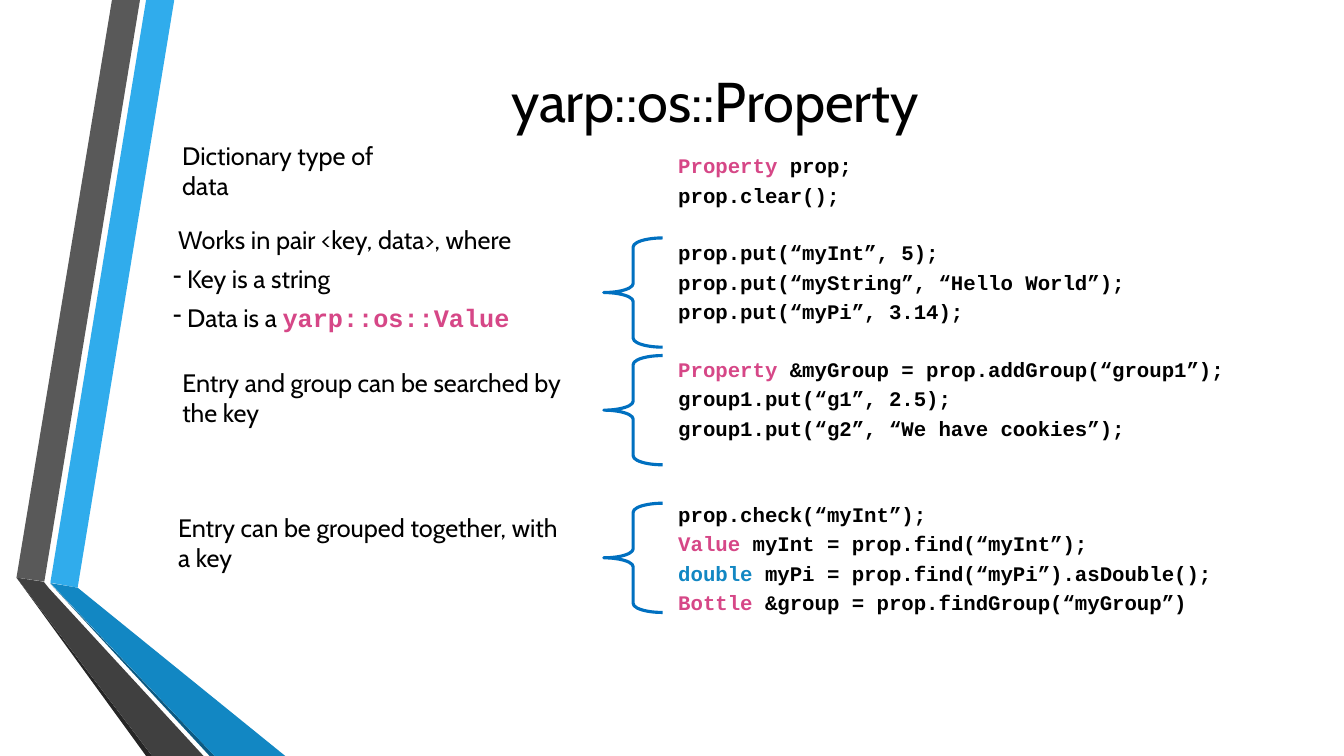
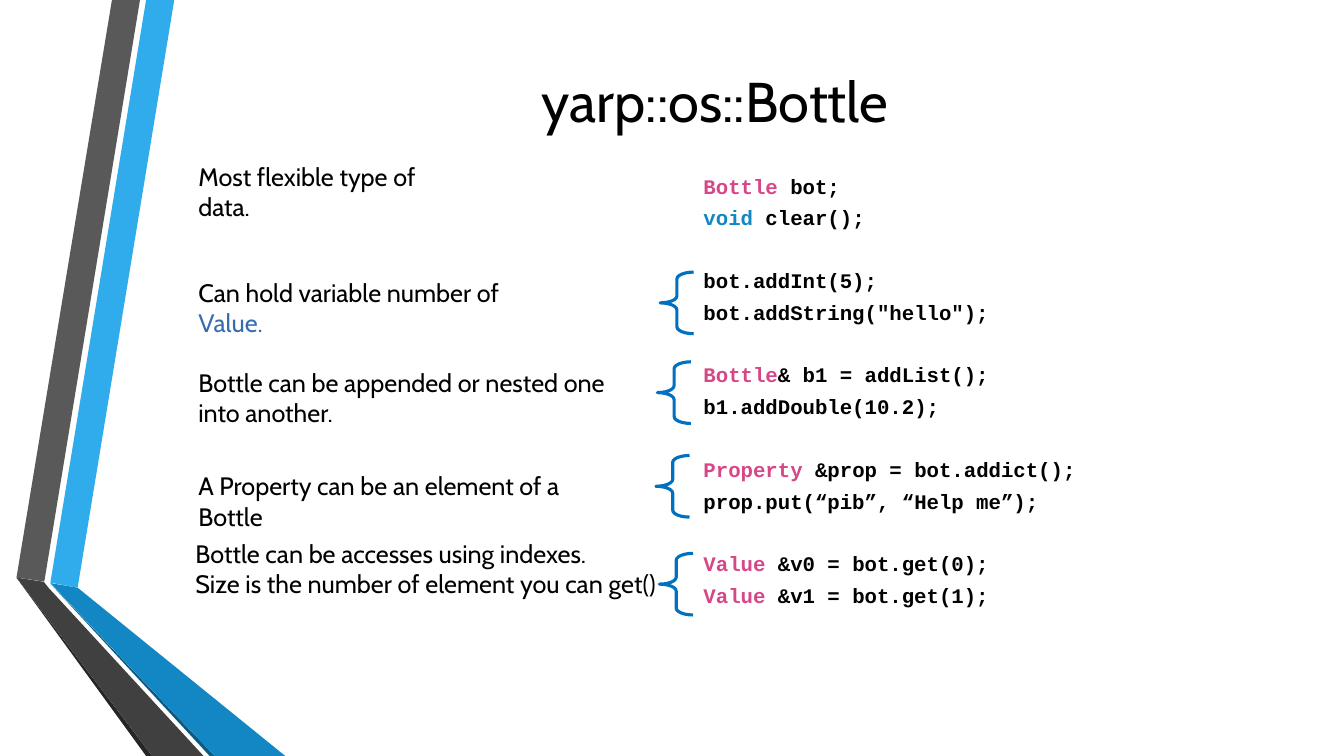
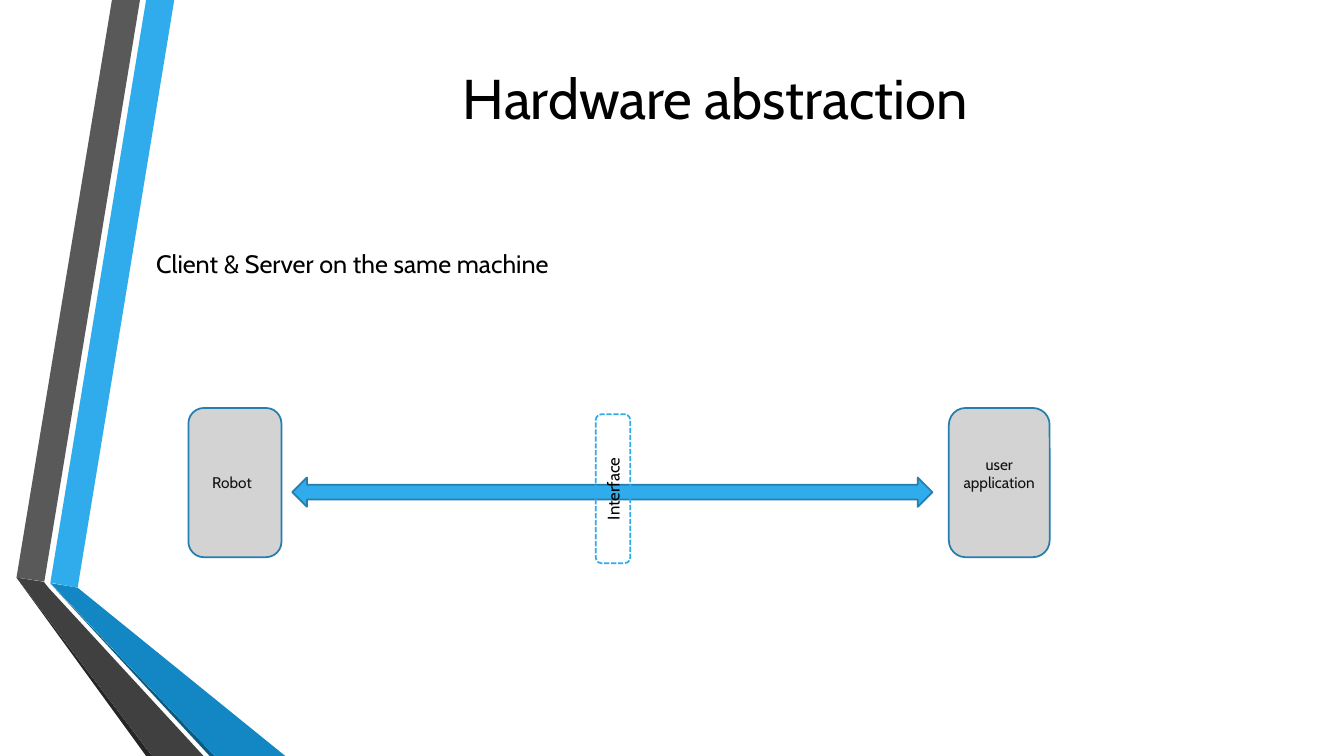
import pptx
import pptx.dml.color
import pptx.enum.dml
import pptx.enum.shapes
import pptx.enum.text
import pptx.oxml.ns
import pptx.util
from lxml import etree

Pt = pptx.util.Pt
SHAPES = pptx.enum.shapes.MSO_SHAPE
ALIGN = pptx.enum.text.PP_ALIGN
ANCHOR = pptx.enum.text.MSO_ANCHOR

BODY_FONT, CODE_FONT = "Cabin", "Courier New"
BLACK, PINK, BLUE, SKY = "000000", "D64787", "1287C3", "30ACEC"
BRACE_BLUE, OUTLINE, GREY, DARK, LINK = "0070C0", "247FAF", "D3D3D3", "101010", "376DAE"
INDENT = 3.6
CODE_SIZE, CODE_SPACE_AFTER, CODE_LINE_HEIGHT = 14.8, 6.8, 1.133

BANDS = [
    (SKY, [(36, 416.2), (55.5, 419.8), (124.5, 0), (104.4, 0)]),
    ("595959", [(100, 0), (80, 0), (11.8, 412.6), (31.7, 415.4)]),
    ("262626", [(11.8, 412.6), (104.4, 540), (108.7, 540)]),
    ("0C5A82", [(36, 416.9), (149.8, 540), (153.4, 540)]),
    (BLUE, [(36, 416.5), (153.4, 540), (203.8, 540), (55.5, 419.8)]),
    ("404040", [(145.4, 540), (34.6, 419.8), (31.3, 415.6), (11.8, 412.6), (108.7, 540)]),
]


def colour(value):
    return pptx.dml.color.RGBColor.from_string(value)


def paint(shape, fill=None, line=None, width=1.25, dash=None):
    shape.shadow.inherit = False
    if fill:
        shape.fill.solid()
        shape.fill.fore_color.rgb = colour(fill)
    else:
        shape.fill.background()
    if line:
        shape.line.color.rgb = colour(line)
        shape.line.width = Pt(width)
        if dash:
            shape.line.dash_style = dash
    else:
        shape.line.fill.background()


def set_bullet(paragraph, character):
    properties = paragraph._p.get_or_add_pPr()
    bullet = etree.SubElement(properties, pptx.oxml.ns.qn("a:buChar"))
    bullet.set("char", character)


def write_paragraph(paragraph, runs, size=18, font=BODY_FONT, color=BLACK, bold=False,
                    align=ALIGN.LEFT, before=0, after=0, spacing=None, indent=0, bullet=None):
    paragraph.alignment = align
    paragraph.space_before = Pt(before)
    paragraph.space_after = Pt(after)
    if spacing:
        paragraph.line_spacing = spacing
    if indent:
        paragraph._p.get_or_add_pPr().set("marL", str(Pt(indent)))
    if bullet:
        set_bullet(paragraph, bullet)
    for part in [(runs, {})] if isinstance(runs, str) else runs:
        text, changes = (part, {}) if isinstance(part, str) else part
        run = paragraph.add_run()
        run.text = text
        run.font.size = Pt(size)
        run.font.name = changes.get("font", font)
        run.font.bold = changes.get("bold", bold)
        run.font.color.rgb = colour(changes.get("color", color))


def write_text(shape, paragraphs, anchor=ANCHOR.TOP, insets=(7.2, 3.6, 7.2, 3.6), **style):
    frame = shape.text_frame
    frame.word_wrap = True
    frame.vertical_anchor = anchor
    frame.margin_left, frame.margin_top, frame.margin_right, frame.margin_bottom = map(Pt, insets)
    for index, item in enumerate(paragraphs):
        runs, changes = item if isinstance(item, tuple) else (item, {})
        paragraph = frame.add_paragraph() if index else frame.paragraphs[0]
        write_paragraph(paragraph, runs, **{**style, **changes})


def add_text(slide, box, paragraphs, **style):
    shape = slide.shapes.add_textbox(*map(Pt, box))
    write_text(shape, paragraphs, **style)
    return shape


def add_box(slide, kind, box, adjustments=(), **look):
    shape = slide.shapes.add_shape(kind, *map(Pt, box))
    for index, value in enumerate(adjustments):
        shape.adjustments[index] = value
    paint(shape, **look)
    return shape


def add_bands(slide):
    for fill, points in BANDS:
        corners = [(Pt(x), Pt(y)) for x, y in points]
        builder = slide.shapes.build_freeform(*corners[0])
        builder.add_line_segments(corners[1:], close=True)
        paint(builder.convert_to_shape(), fill=fill)


def add_titled_slide(presentation, title, title_top=2.2):
    slide = presentation.slides.add_slide(presentation.slide_layouts[6])
    add_bands(slide)
    add_text(slide, (116.6, title_top, 788.4, 138.2), [title],
             anchor=ANCHOR.MIDDLE, size=40, align=ALIGN.CENTER)
    return slide


def add_code(slide, box, groups, spacing):
    pitch = CODE_SIZE * CODE_LINE_HEIGHT * spacing + CODE_SPACE_AFTER
    lines = []
    for blank_lines, group in groups:
        for index, runs in enumerate(group):
            gap = 0 if index else blank_lines * pitch
            lines.append((runs, {"before": round(gap, 2)}))
    add_text(slide, box, lines, anchor=ANCHOR.MIDDLE, size=CODE_SIZE, font=CODE_FONT,
             bold=True, after=CODE_SPACE_AFTER, spacing=spacing, indent=INDENT)


def add_braces(slide, corners, size, curl):
    for left, top in corners:
        add_box(slide, SHAPES.LEFT_BRACE, (left, top, *size), (curl, 0.5),
                line=BRACE_BLUE, width=2.25)


def keyword(text, color=PINK):
    return text, {"color": color}


def property_slide(presentation):
    slide = add_titled_slide(presentation, "yarp::os::Property")
    add_code(slide, (473.8, 110.9, 455.8, 329.8), [
        (0, [[keyword("Property"), " prop;"],
             "prop.clear();"]),
        (1, ["prop.put(“myInt”, 5);",
             "prop.put(“myString”, “Hello World”);",
             "prop.put(“myPi”, 3.14);"]),
        (1, [[keyword("Property"), " &myGroup = prop.addGroup(“group1”);"],
             "group1.put(“g1”, 2.5);",
             "group1.put(“g2”, “We have cookies”);"]),
        (2, ["prop.check(“myInt”);",
             [keyword("Value "), "myInt = prop.find(“myInt”);"],
             [keyword("double ", BLUE), "myPi = prop.find(“myPi”).asDouble();"],
             [keyword("Bottle"), " &group = prop.findGroup(“myGroup”)"]]),
    ], spacing=0.8)
    add_braces(slide, [(431.3, top) for top in (170, 254, 359.5)], (42, 78), 0.153)
    add_text(slide, (123.1, 96.5, 180, 51), ["Dictionary type of data"])
    value_type = ("yarp::os::Value", {"font": CODE_FONT, "color": PINK, "bold": True})
    item = {"before": 6, "bullet": "-"}
    add_text(slide, (116.6, 157, 270, 106.6), [
        ("Works in pair <key, data>, where", {"indent": INDENT}),
        (" Key is a string", item),
        ([" Data is a ", value_type], item),
    ])
    add_text(slide, (123.1, 258.5, 300, 51), ["Entry and group can be searched by the key"])
    add_text(slide, (116.6, 362.2, 293, 51), ["Entry can be grouped together, with a key"],
             indent=INDENT)


def bottle_slide(presentation):
    slide = add_titled_slide(presentation, "yarp::os::Bottle")
    add_code(slide, (491.8, 126, 334.8, 308), [
        (0, [[keyword("Bottle "), "bot;"],
             [keyword("void", BLUE), " clear();"]]),
        (1, ["bot.addInt(5);",
             "bot.addString(\"hello\");"]),
        (1, [[keyword("Bottle"), "& b1 = addList();"],
             "b1.addDouble(10.2);"]),
        (1, [[keyword("Property"), " &prop = bot.addict();"],
             "prop.put(“pib”, “Help me”);"]),
        (1, [[keyword("Value"), " &v0 = bot.get(0);"],
             [keyword("Value"), " &v1 = bot.get(1);"]]),
    ], spacing=0.9)
    add_braces(slide, [(471.5, 194.4), (469.5, 258.5), (468.5, 325.4), (471, 395.3)],
               (24, 44), 0.205)
    statements = [
        (111.6, 190, ["Most flexible type of data."]),
        (194.4, 250, [["Can hold variable number of ", keyword("Value.", LINK)]]),
        (258.5, 313, ["Bottle can be appended or nested one into another."]),
        (332.6, 302, ["A Property can be an element of a Bottle"]),
    ]
    for top, width, paragraphs in statements:
        add_text(slide, (134.6, top, width, 51), paragraphs)
    add_text(slide, (132.5, 380.9, 350, 72.7), [
        "Bottle can be accesses using indexes.",
        "Size is the number of element you can get()",
    ])


def hardware_slide(presentation):
    slide = add_titled_slide(presentation, "Hardware abstraction", title_top=0.5)
    add_box(slide, SHAPES.LEFT_RIGHT_ARROW, (208.8, 341.1, 457.2, 20.9),
            fill=SKY, line=OUTLINE)
    nodes = [
        ("Robot", 134.6, 66.5, (2.9, 2.9, 7.2, 3.6)),
        ("user application", 677.8, 72, (5.8, 3.6, 5.8, 17)),
    ]
    for label, left, width, insets in nodes:
        node = add_box(slide, SHAPES.ROUNDED_RECTANGLE, (left, 291.4, width, 106.6),
                       fill=GREY, line=OUTLINE)
        write_text(node, [label], anchor=ANCHOR.MIDDLE, insets=insets, size=11,
                   color=DARK, align=ALIGN.CENTER)
    interface = add_box(slide, SHAPES.ROUNDED_RECTANGLE, (425.5, 295.9, 24.7, 106.4),
                        line=SKY, dash=pptx.enum.dml.MSO_LINE.SQUARE_DOT)
    write_text(interface, ["Interface"], anchor=ANCHOR.MIDDLE, size=12, align=ALIGN.CENTER)
    interface.element.txBody.bodyPr.set("vert", "vert270")
    add_text(slide, (100.8, 144, 707.8, 87.8), ["Client & Server on the same machine"],
             anchor=ANCHOR.MIDDLE, after=6, indent=INDENT)


def main():
    presentation = pptx.Presentation()
    presentation.slide_width = Pt(960)
    presentation.slide_height = Pt(540)
    property_slide(presentation)
    bottle_slide(presentation)
    hardware_slide(presentation)
    presentation.save("out.pptx")


if __name__ == "__main__":
    main()
